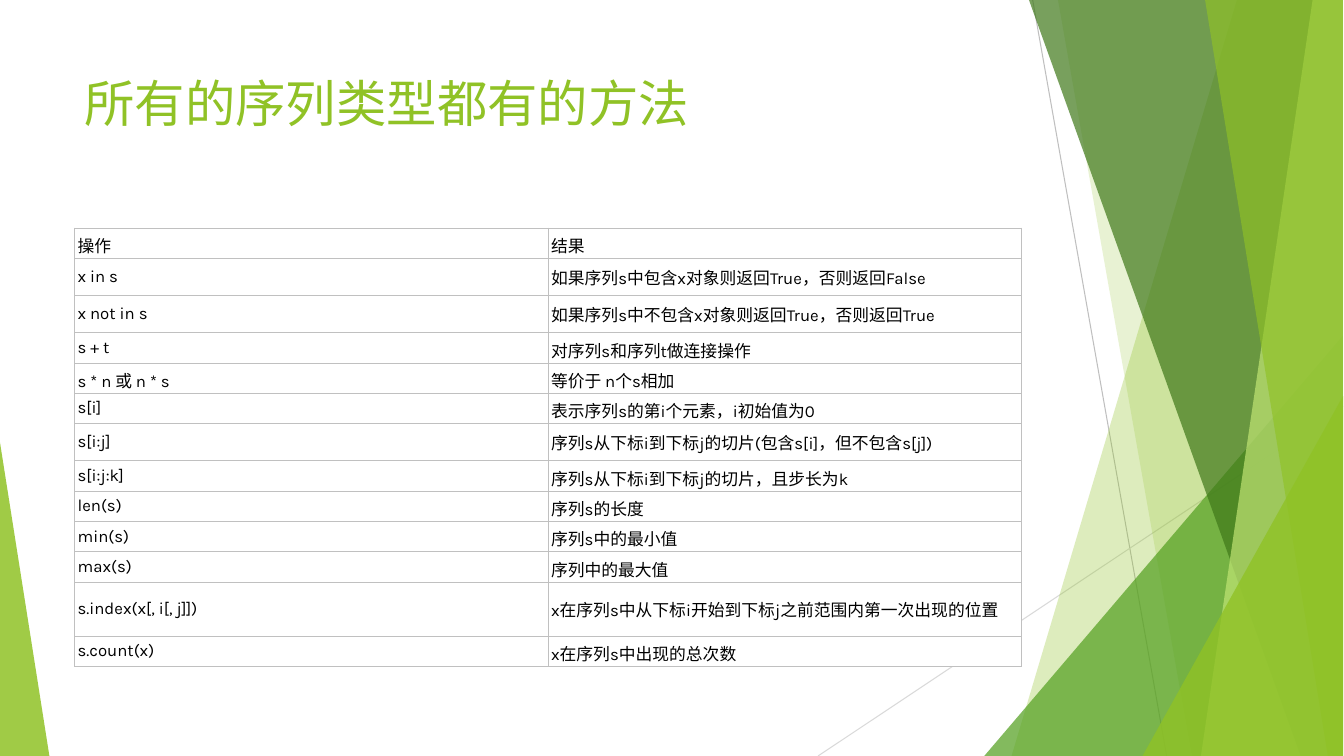
from lxml import etree
from pptx import Presentation
from pptx.dml.color import RGBColor
from pptx.enum.shapes import MSO_CONNECTOR, MSO_SHAPE
from pptx.enum.text import MSO_ANCHOR
from pptx.oxml.ns import qn
from pptx.util import Inches, Pt

STRAIGHT = MSO_CONNECTOR.STRAIGHT
TRIANGLE = MSO_SHAPE.ISOSCELES_TRIANGLE
TOP, MIDDLE = MSO_ANCHOR.TOP, MSO_ANCHOR.MIDDLE
FONT = "Karla"
GREEN = "90C226"
RIGHT, ABOVE, BOTTOM = 13.33, -0.01, 7.5


def color(hex_string):
    return RGBColor.from_string(hex_string)


def write_text(frame, text, size=12, fill="000000"):
    frame.word_wrap = True
    paragraph = frame.paragraphs[0]
    run = paragraph.add_run()
    run.text = text
    run.font.size = Pt(size)
    run.font.name = FONT
    run.font.color.rgb = color(fill)


presentation = Presentation()
presentation.slide_width = Inches(13.34)
presentation.slide_height = Inches(7.5)
slide = presentation.slides.add_slide(presentation.slide_layouts[6])
shapes = slide.shapes

# Thin background lines
for x1, y1, x2, y2, line_color in [
    (10.25, 0, 11.58, BOTTOM, "BFBFBF"),
    (RIGHT, 4.03, 8.12, BOTTOM, "D9D9D9"),
]:
    line = shapes.add_connector(STRAIGHT, Inches(x1), Inches(y1), Inches(x2), Inches(y2))
    line.line.color.rgb = color(line_color)
    line.line.width = Pt(0.75)
    etree.SubElement(line._element.spPr, qn("a:effectLst"))

# Translucent facets, back to front. A band has the x of its top left and
# bottom left corners; a triangle has its left, top, width, height and apex.
facets = [
    ("band", (12.28, 10.04), GREEN, 30),
    ("band", (10.5, 11.83), GREEN, 20),
    ("triangle", (9.77, 3.33, 3.56, 4.17, 1), "54A021", 72),
    ("band", (10.21, 12.91), "3F7819", 70),
    ("band", (13.03, 11.92), "C0E474", 70),
    ("band", (11.96, 13.18), GREEN, 65),
    ("triangle", (11.34, 3.93, 1.99, 3.57, 1), GREEN, 80),
    ("triangle", (0, 4.39, 0.49, 3.11, 0), GREEN, 85),
]
for kind, geometry, fill, opacity in facets:
    if kind == "band":
        top_x, bottom_x = geometry
        corners = [(RIGHT, ABOVE), (RIGHT, BOTTOM), (bottom_x, BOTTOM)]
        builder = shapes.build_freeform(Inches(top_x), Inches(ABOVE))
        builder.add_line_segments([(Inches(x), Inches(y)) for x, y in corners])
        facet = builder.convert_to_shape()
    else:
        *box, apex = geometry
        facet = shapes.add_shape(TRIANGLE, *map(Inches, box))
        facet.adjustments[0] = apex
    facet.shadow.inherit = False
    facet.line.fill.background()
    facet.fill.solid()
    facet.fill.fore_color.rgb = color(fill)
    fill_color = facet._element.spPr.find(qn("a:solidFill"))[0]
    etree.SubElement(fill_color, qn("a:alpha"), val=str(opacity * 1000))

title = shapes.add_textbox(Inches(0.74), Inches(0.67), Inches(9.4), Inches(1.44))
title.text_frame.vertical_anchor = TOP
write_text(title.text_frame, "所有的序列类型都有的方法", size=36, fill=GREEN)

# Operation, result and row height
operations = [
    ("操作", "结果", 0.3),
    ("x in s", "如果序列s中包含x对象则返回True，否则返回False", 0.37),
    ("x not in s", "如果序列s中不包含x对象则返回True，否则返回True", 0.37),
    ("s + t", "对序列s和序列t做连接操作", 0.3),
    ("s * n 或 n * s", "等价于 n个s相加", 0.3),
    ("s[i]", "表示序列s的第i个元素，i初始值为0", 0.3),
    ("s[i:j]", "序列s从下标i到下标j的切片(包含s[i]，但不包含s[j])", 0.37),
    ("s[i:j:k]", "序列s从下标i到下标j的切片，且步长为k", 0.3),
    ("len(s)", "序列s的长度", 0.3),
    ("min(s)", "序列s中的最小值", 0.3),
    ("max(s)", "序列中的最大值", 0.3),
    ("s.index(x[, i[, j]])", "x在序列s中从下标i开始到下标j之前范围内第一次出现的位置", 0.54),
    ("s.count(x)", "x在序列s中出现的总次数", 0.3),
]
table = shapes.add_table(
    len(operations), 2, Inches(0.74), Inches(2.26), Inches(9.4), Inches(4.34)
).table
table.first_row = False
table.horz_banding = False
for row, (operation, result, height) in zip(table.rows, operations):
    row.height = Inches(height)
    for cell, text in zip(row.cells, (operation, result)):
        cell.margin_left = cell.margin_right = Inches(0.03)
        cell.margin_top = cell.margin_bottom = Inches(0.05)
        cell.vertical_anchor = MIDDLE
        write_text(cell.text_frame, text)
        properties = cell._tc.get_or_add_tcPr()
        for side in ("lnL", "lnR", "lnT", "lnB"):
            border = etree.SubElement(properties, qn(f"a:{side}"), w=str(Pt(0.45)))
            border_fill = etree.SubElement(border, qn("a:solidFill"))
            etree.SubElement(border_fill, qn("a:srgbClr"), val="C0C0C0")
        cell.fill.solid()
        cell.fill.fore_color.rgb = color("FFFFFF")

presentation.save("out.pptx")
